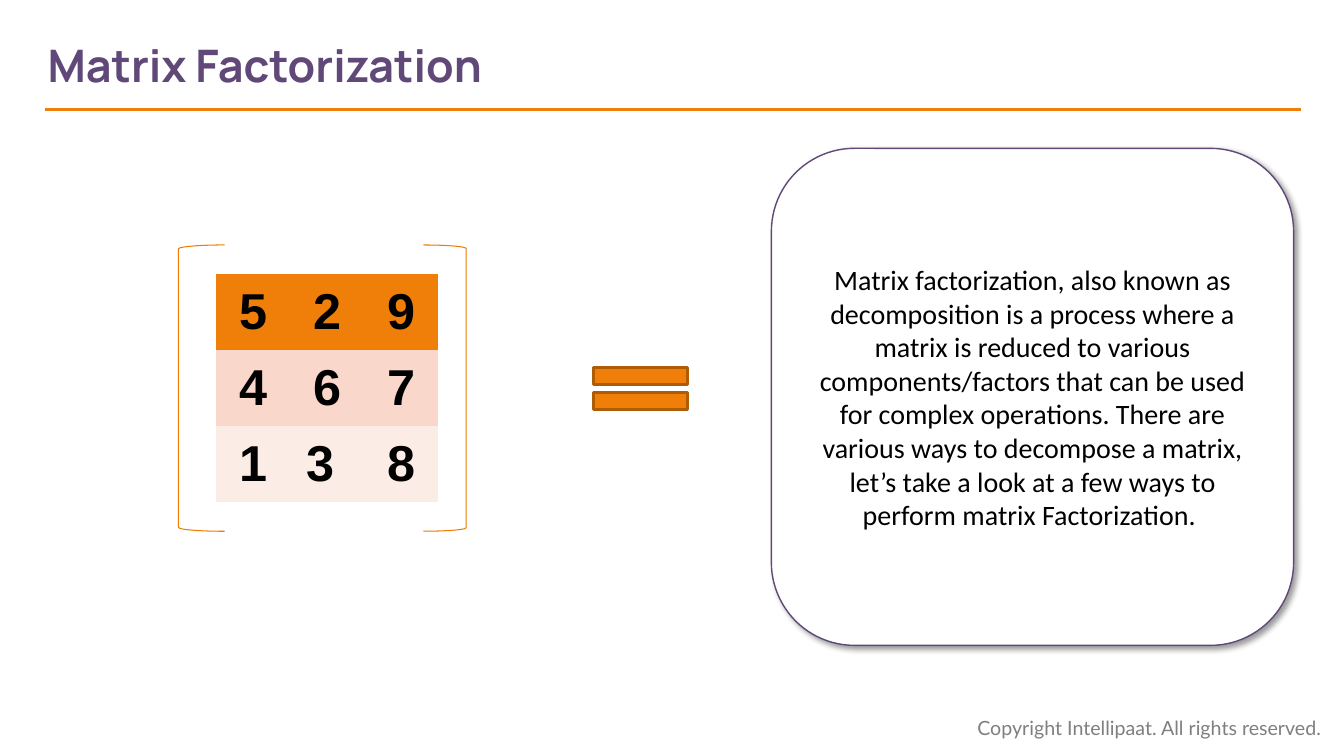
import dataclasses

import lxml.etree
import pptx
import pptx.dml.color
import pptx.enum.shapes
import pptx.enum.text
import pptx.oxml
import pptx.oxml.ns
import pptx.util

Pt = pptx.util.Pt
SHAPE = pptx.enum.shapes.MSO_SHAPE
ANCHOR = pptx.enum.text.MSO_ANCHOR
ALIGN = pptx.enum.text.PP_ALIGN
PLAIN_TABLE_STYLE = "{2D5ABB26-0587-4C30-8999-92F81FD0307C}"


@dataclasses.dataclass(frozen=True)
class Theme:
    """Colours, fonts and type sizes of the slide."""
    purple: str = "604878"
    orange: str = "F07F09"
    dark_orange: str = "AF5C06"
    bracket: str = "EF7C02"
    row_fills: tuple = ("F07F09", "F9D7CA", "FCECE6")
    black: str = "000000"
    white: str = "FFFFFF"
    grey: str = "7F7F7F"
    title: tuple = ("Manrope", 32)
    number: tuple = ("Arial", 36)
    body: tuple = ("Calibri", 20)
    footer: tuple = ("Lato", 14)


THEME = Theme()


def rgb(value):
    """Turn a hex string into a colour."""
    return pptx.dml.color.RGBColor.from_string(value)


def write(frame, text, style, color, bold=False, align=ALIGN.LEFT):
    """Fill a text frame with one formatted paragraph."""
    frame.text = text
    frame.word_wrap = True
    paragraph = frame.paragraphs[0]
    paragraph.alignment = align
    font = paragraph.runs[0].font
    font.name, font.size = style[0], Pt(style[1])
    font.bold = bold
    font.color.rgb = rgb(color)


def add_outline(shapes, kind, box, adjustments, line, width, fill=None):
    """Add a preset shape with the given line and optional fill."""
    shape = shapes.add_shape(kind, *map(Pt, box))
    shape.shadow.inherit = False
    for index, value in enumerate(adjustments):
        shape.adjustments[index] = value
    shape.line.color.rgb = rgb(line)
    shape.line.width = Pt(width)
    if fill:
        shape.fill.solid()
        shape.fill.fore_color.rgb = rgb(fill)
    else:
        shape.fill.background()
    return shape


def add_header(slide, box):
    """Place the title with the rule below it."""
    left, top, width, height = box
    title = slide.shapes.add_textbox(Pt(left + 2), Pt(top), Pt(682), Pt(height - 2))
    title.text_frame.margin_left = 0
    title.text_frame.vertical_anchor = ANCHOR.MIDDLE
    write(title.text_frame, "Matrix Factorization", THEME.title, THEME.purple, bold=True)
    rule = slide.shapes.add_connector(
        pptx.enum.shapes.MSO_CONNECTOR.STRAIGHT,
        Pt(left + width), Pt(top + height), Pt(left), Pt(top + height))
    rule.line.color.rgb = rgb(THEME.orange)
    rule.line.width = Pt(2.25)
    lxml.etree.SubElement(rule._element.spPr, pptx.oxml.ns.qn("a:effectLst"))


def add_matrix(slide, box, rows):
    """Place the number grid between its two square brackets."""
    left, top, width, height = box
    brackets = slide.shapes.add_group_shape()
    for kind, x, bracket_width in ((SHAPE.LEFT_BRACKET, left, 33),
                                   (SHAPE.RIGHT_BRACKET, left + width - 30.5, 30.5)):
        add_outline(brackets.shapes, kind, (x, top, bracket_width, height),
                    [0.083], THEME.bracket, 0.75)
    cell_width, cell_height = 52.8, 54.4
    grid = slide.shapes.add_table(
        len(rows), len(rows[0]), Pt(left + 27), Pt(top + 20.5),
        Pt(cell_width * len(rows[0])), Pt(cell_height * len(rows))).table
    grid._tbl.tblPr.find(pptx.oxml.ns.qn("a:tableStyleId")).text = PLAIN_TABLE_STYLE
    for column in grid.columns:
        column.width = Pt(cell_width)
    for row_index, (numbers, fill) in enumerate(zip(rows, THEME.row_fills)):
        grid.rows[row_index].height = Pt(cell_height)
        for column_index, number in enumerate(numbers):
            cell = grid.cell(row_index, column_index)
            cell.fill.solid()
            cell.fill.fore_color.rgb = rgb(fill)
            cell.vertical_anchor = ANCHOR.MIDDLE
            write(cell.text_frame, number, THEME.number, THEME.black,
                  bold=True, align=ALIGN.CENTER)


def add_equals(slide, box):
    """Place the equals sign."""
    add_outline(slide.shapes, SHAPE.MATH_EQUAL, box, [0.235, 0.118],
                THEME.dark_orange, 2, THEME.orange)


def add_explanation(slide, box, text):
    """Place the rounded card with its soft shadow and explanation."""
    card = add_outline(slide.shapes, SHAPE.ROUNDED_RECTANGLE, box, [0.167],
                       THEME.purple, 1, THEME.white)
    effects = card._element.spPr.find(pptx.oxml.ns.qn("a:effectLst"))
    effects.append(pptx.oxml.parse_xml(
        f'<a:outerShdw {pptx.oxml.ns.nsdecls("a")} blurRad="{Pt(4)}" dist="{Pt(3)}" '
        f'dir="2700000" algn="tl" rotWithShape="0"><a:srgbClr val="{THEME.black}">'
        '<a:alpha val="40000"/></a:srgbClr></a:outerShdw>'))
    card.text_frame.vertical_anchor = ANCHOR.MIDDLE
    write(card.text_frame, text, THEME.body, THEME.black, align=ALIGN.CENTER)


def add_footer(slide, box):
    """Place the copyright line."""
    footer = slide.shapes.add_textbox(*map(Pt, box))
    write(footer.text_frame, "Copyright Intellipaat. All rights reserved.",
          THEME.footer, THEME.grey)


def main():
    """Build the slide and save it."""
    deck = pptx.Presentation()
    deck.slide_width, deck.slide_height = Pt(960), Pt(540)
    slide = deck.slides.add_slide(deck.slide_layouts[6])
    add_footer(slide, (691, 507.5, 264.5, 24.5))
    add_header(slide, (32, 16, 897, 62))
    add_matrix(slide, (127.5, 175, 205.5, 204.5),
               [("5", "2", "9"), ("4", "6", "7"), ("1", "3 ", "8")])
    add_equals(slide, (412, 252, 91, 51))
    add_explanation(
        slide, (551, 106, 373, 355),
        "Matrix factorization, also known as decomposition is a process where a matrix "
        "is reduced to various components/factors that can be used for complex "
        "operations. There are various ways to decompose a matrix, let’s take a look "
        "at a few ways to perform matrix Factorization. ")
    deck.save("out.pptx")


if __name__ == "__main__":
    main()
